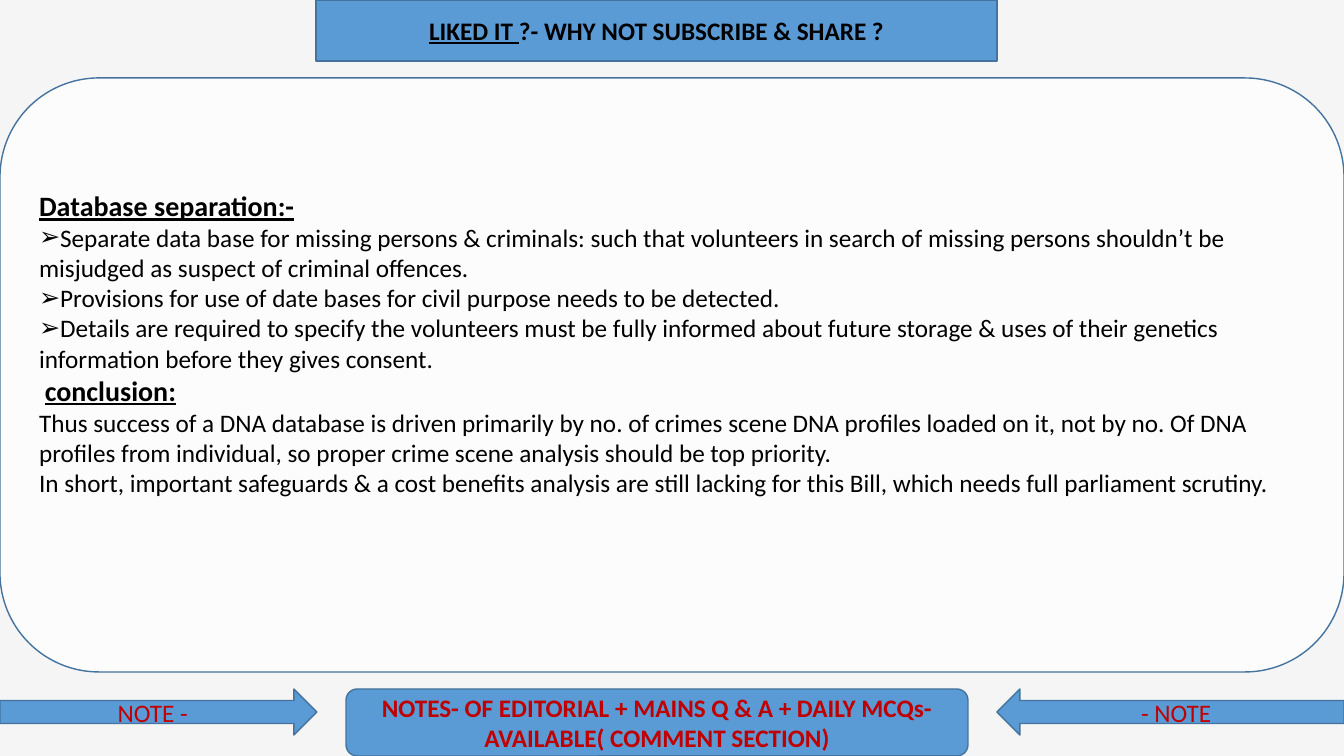
from lxml.etree import SubElement
from pptx import Presentation
from pptx.dml.color import RGBColor
from pptx.enum.shapes import MSO_SHAPE
from pptx.enum.text import MSO_ANCHOR, MSO_AUTO_SIZE, PP_ALIGN
from pptx.oxml import parse_xml
from pptx.oxml.ns import nsdecls, qn
from pptx.util import Emu, Pt

BLUE, BORDER, RED, BLACK = "5B9BD5", "43739E", "C00000", "000000"
HEADING = {"size": 20, "bold": True, "underline": True}


def color(value):
    return RGBColor.from_string(value)


def px(value):
    return Emu(round(value * 914400 / 100.8))


def add_text(paragraph, text, size=18, fill=BLACK, bold=False, underline=False):
    run = paragraph.add_run()
    run.text = text
    run.font.name = "Calibri"
    run.font.size = Pt(size)
    run.font.color.rgb = color(fill)
    run.font.bold = bold
    run.font.underline = underline


class SlideBuilder:
    """Holds the style and the current slide, and adds its elements."""

    def __init__(self, presentation):
        self.slide = presentation.slides.add_slide(presentation.slide_layouts[1])
        background = self.slide.background.fill
        background.solid()
        background.fore_color.rgb = color("F5F5F5")

    def style(self, shape, fill):
        shape.fill.solid()
        shape.fill.fore_color.rgb = color(fill)
        shape.line.color.rgb = color(BORDER)
        shape.line.width = Pt(1)
        frame = shape.text_frame
        frame.word_wrap = True
        frame.auto_size = MSO_AUTO_SIZE.NONE
        frame.vertical_anchor = MSO_ANCHOR.MIDDLE

    def placeholder(self, index, geometry, left, top, width, height, fill=BLUE):
        shape = self.slide.placeholders[index]
        shape.left, shape.top, shape.width, shape.height = map(px, (left, top, width, height))
        outline = parse_xml(f'<a:prstGeom {nsdecls("a")} prst="{geometry}"><a:avLst/></a:prstGeom>')
        shape.element.spPr.find(qn("a:xfrm")).addnext(outline)
        self.style(shape, fill)
        return shape

    def title(self, parts, *box):
        paragraph = self.placeholder(0, "flowChartTerminator", *box).text_frame.paragraphs[0]
        paragraph.alignment = PP_ALIGN.CENTER
        for text, text_format in parts:
            add_text(paragraph, text, **text_format)

    def body(self, lines, *box):
        shape = self.placeholder(1, "roundRect", *box, fill="FFFFFF")
        solid = shape.element.spPr.find(qn("a:solidFill"))
        SubElement(solid[0], qn("a:alpha"), val="77000")
        frame = shape.text_frame
        frame.margin_bottom = px(69)
        for number, (bullet, parts) in enumerate(lines):
            paragraph = frame.add_paragraph() if number else frame.paragraphs[0]
            paragraph.alignment = PP_ALIGN.LEFT
            paragraph.space_before = Pt(0)
            properties = paragraph._p.get_or_add_pPr()
            properties.set("marL", "0")
            properties.set("indent", "0")
            if bullet:
                SubElement(properties, qn("a:buChar"), char=bullet)
            else:
                SubElement(properties, qn("a:buNone"))
            for text, text_format in parts:
                add_text(paragraph, text, **text_format)

    def label(self, kind, text, left, top, width, height, bold=False):
        shape = self.slide.shapes.add_shape(kind, *map(px, (left, top, width, height)))
        shape.shadow.inherit = False
        self.style(shape, BLUE)
        paragraph = shape.text_frame.paragraphs[0]
        paragraph.alignment = PP_ALIGN.CENTER
        add_text(paragraph, text, fill=RED, bold=bold)


def main():
    presentation = Presentation()
    presentation.slide_width, presentation.slide_height = px(1344), px(756)
    builder = SlideBuilder(presentation)
    builder.title([
        ("LIKED IT ", {"bold": True, "underline": True}),
        ("?- WHY NOT SUBSCRIBE & SHARE ?", {"bold": True}),
    ], 316, 0, 681, 61)
    builder.body([
        ("", [("Database separation:-", HEADING)]),
        ("➢", [("Separate data base for missing persons & criminals: such that volunteers in search "
               "of missing persons shouldn’t be misjudged as suspect of criminal offences.", {})]),
        ("➢", [("Provisions for use of date bases for civil purpose needs to be detected.", {})]),
        ("➢", [("Details are required to specify the volunteers must be fully informed about future "
               "storage & uses of their genetics information before they gives consent.", {})]),
        ("", [(" ", {}), ("conclusion:", HEADING)]),
        ("", [("Thus success of a DNA database is driven primarily by no. of crimes scene DNA "
               "profiles loaded on it, not by no. Of DNA profiles from individual, so proper crime "
               "scene analysis should be top priority.", {})]),
        ("", [("In short, important safeguards & a cost benefits analysis are still lacking for "
               "this Bill, which needs full parliament scrutiny.", {})]),
    ], 0, 78, 1344, 594)
    builder.label(MSO_SHAPE.ROUNDED_RECTANGLE,
                  "NOTES- OF EDITORIAL + MAINS Q & A + DAILY MCQs- AVAILABLE( COMMENT SECTION)",
                  346, 689, 622, 67, bold=True)
    builder.label(MSO_SHAPE.RIGHT_ARROW, "NOTE -", 0, 689, 317, 46)
    builder.label(MSO_SHAPE.LEFT_ARROW, "- NOTE", 997, 689, 347, 46)
    presentation.save("out.pptx")


if __name__ == "__main__":
    main()
